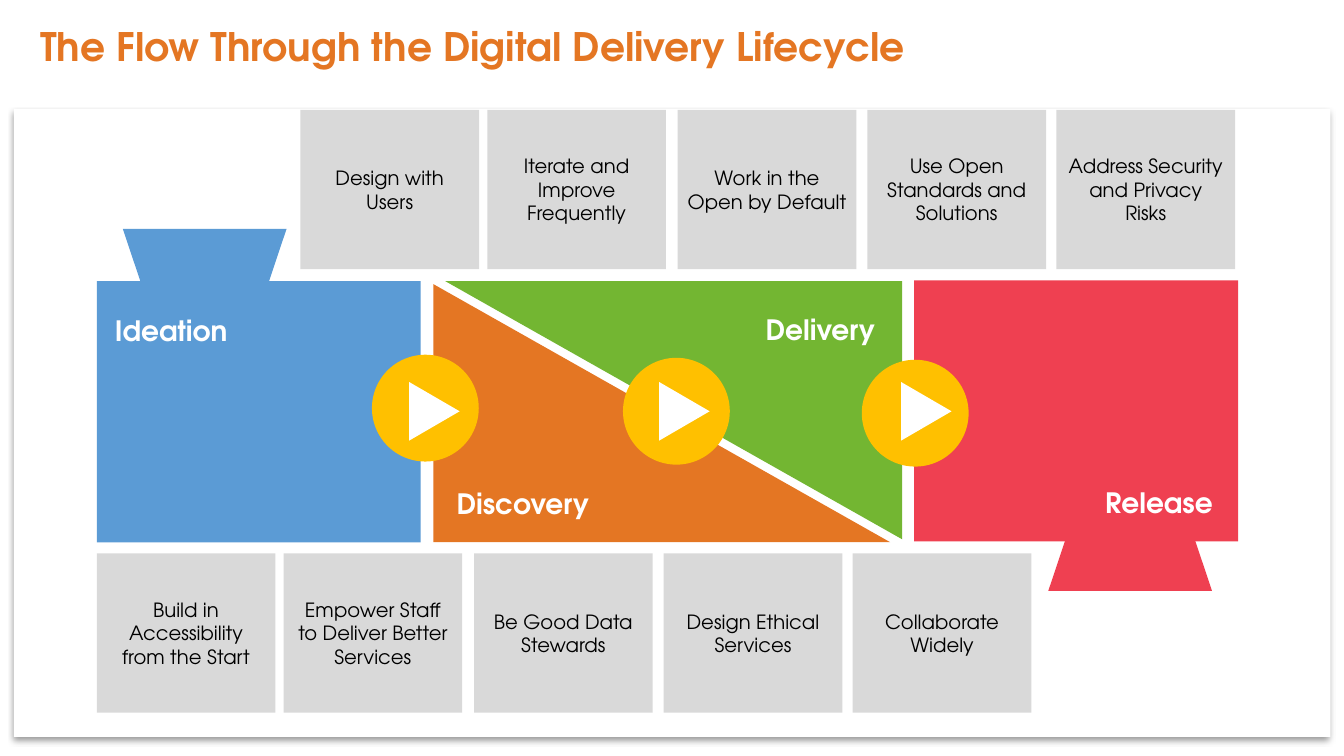
from lxml.etree import SubElement
from pptx import Presentation
from pptx.dml.color import RGBColor
from pptx.enum.shapes import MSO_SHAPE
from pptx.enum.text import MSO_ANCHOR, MSO_AUTO_SIZE, PP_ALIGN
from pptx.oxml.ns import qn
from pptx.util import Pt

FONT = "TeX Gyre Adventor"
COLORS = {
    "blue": "5B9BD5",
    "orange": "E47623",
    "green": "73B632",
    "red": "EF4051",
    "yellow": "FFC000",
    "gray": "D9D9D9",
    "white": "FFFFFF",
    "black": "000000",
}

# Left edges of the five tiles in a row, measured from the first one
TILE_OFFSETS = [0, 133.5, 269.5, 405, 540]
TOP_PRINCIPLES = [
    "Design with Users",
    "Iterate and Improve Frequently",
    "Work in the Open by Default",
    "Use Open Standards and Solutions",
    "Address Security and Privacy Risks",
]
BOTTOM_PRINCIPLES = [
    "Build in Accessibility from the Start",
    "Empower Staff to Deliver Better Services",
    "Be Good Data Stewards",
    "Design Ethical Services",
    "Collaborate Widely",
]


def color(name):
    return RGBColor.from_string(COLORS[name])


def place(shape, left, top, width, height):
    shape.left, shape.top = Pt(left), Pt(top)
    shape.width, shape.height = Pt(width), Pt(height)


def write_text(shape, text, *, size, font_color, bold=False,
               align=PP_ALIGN.LEFT, anchor=MSO_ANCHOR.MIDDLE, inset=7.2):
    frame = shape.text_frame
    frame.word_wrap = True
    frame.auto_size = MSO_AUTO_SIZE.NONE
    frame.vertical_anchor = anchor
    frame.margin_left = frame.margin_right = Pt(inset)
    frame.margin_top = frame.margin_bottom = Pt(3.6)
    paragraph = frame.paragraphs[0]
    paragraph.alignment = align
    run = paragraph.add_run()
    run.text = text
    run.font.name = FONT
    run.font.size = Pt(size)
    run.font.bold = bold
    run.font.color.rgb = color(font_color)


def add_block(slide, kind, box, fill, rotation=0):
    shape = slide.shapes.add_shape(kind, *[Pt(length) for length in box])
    shape.shadow.inherit = False
    shape.fill.solid()
    shape.fill.fore_color.rgb = color(fill)
    shape.line.fill.background()
    shape.rotation = rotation
    return shape


def add_panel(slide):
    panel = add_block(slide, MSO_SHAPE.RECTANGLE, (10, 77.8, 940.3, 448.6), "white")
    effects = panel._element.spPr.find(qn("a:effectLst"))
    shadow = SubElement(effects, qn("a:outerShdw"), blurRad=str(Pt(4)),
                        dist=str(Pt(3)), dir="5400000", algn="t", rotWithShape="0")
    shade = SubElement(shadow, qn("a:srgbClr"), val=COLORS["black"])
    SubElement(shade, qn("a:alpha"), val="40000")


def add_phase_label(slide, text, left, top, fill, align):
    label = add_block(slide, MSO_SHAPE.RECTANGLE, (left, top, 190.8, 42.5), fill)
    write_text(label, text, size=20, font_color="white", bold=True, align=align)


def add_tile_row(slide, principles, left, top):
    for text, offset in zip(principles, TILE_OFFSETS):
        box = (left + offset, top, 127.6, 113.8)
        tile = add_block(slide, MSO_SHAPE.RECTANGLE, box, "gray")
        write_text(tile, text, size=14, font_color="black",
                   align=PP_ALIGN.CENTER, inset=7)


def main():
    presentation = Presentation()
    presentation.slide_width, presentation.slide_height = Pt(960), Pt(540)
    slide = presentation.slides.add_slide(presentation.slide_layouts[5])

    # Title and panel
    title = slide.shapes.title
    place(title, 21.6, 20.9, 670.3, 32.4)
    write_text(title, "The Flow Through the Digital Delivery Lifecycle", size=28,
               font_color="orange", bold=True, anchor=MSO_ANCHOR.BOTTOM)
    add_panel(slide)

    # Phases, with the funnels in and out
    phases = [
        (MSO_SHAPE.RECTANGLE, (69.1, 200.9, 231.4, 186.5), "blue", 0),
        (MSO_SHAPE.RIGHT_TRIANGLE, (309.6, 203, 326.2, 184.3), "orange", 0),
        (MSO_SHAPE.RIGHT_TRIANGLE, (318.2, 200.9, 326.2, 184.3), "green", 180),
        (MSO_SHAPE.RECTANGLE, (653, 200.2, 231.4, 186.5), "red", 0),
        (MSO_SHAPE.FLOWCHART_MANUAL_OPERATION, (87.8, 163.6, 116.9, 69.8), "blue", 0),
        (MSO_SHAPE.FLOWCHART_MANUAL_OPERATION, (748.8, 352.2, 116.9, 69.8), "red", 180),
    ]
    for kind, box, fill, rotation in phases:
        add_block(slide, kind, box, fill, rotation)

    # Phase names
    add_phase_label(slide, "Ideation", 74.9, 214.6, "blue", PP_ALIGN.LEFT)
    add_phase_label(slide, "Discovery", 319, 338.4, "orange", PP_ALIGN.LEFT)
    add_phase_label(slide, "Delivery", 441.4, 213.8, "green", PP_ALIGN.RIGHT)
    add_phase_label(slide, "Release", 682.6, 337.7, "red", PP_ALIGN.RIGHT)

    # Play buttons between the phases
    for left, top, arrow_left in [(265.7, 253.4, 289.4),
                                  (445, 255.6, 468),
                                  (615.6, 257, 640.8)]:
        add_block(slide, MSO_SHAPE.OVAL, (left, top, 76.3, 76.3), "yellow")
        add_block(slide, MSO_SHAPE.ISOSCELES_TRIANGLE,
                  (arrow_left, 275.8, 41.8, 36), "white", 90)

    # Principles above and below the flow
    add_tile_row(slide, TOP_PRINCIPLES, 214.6, 78.5)
    add_tile_row(slide, BOTTOM_PRINCIPLES, 69.1, 395.3)

    presentation.save("out.pptx")


if __name__ == "__main__":
    main()
